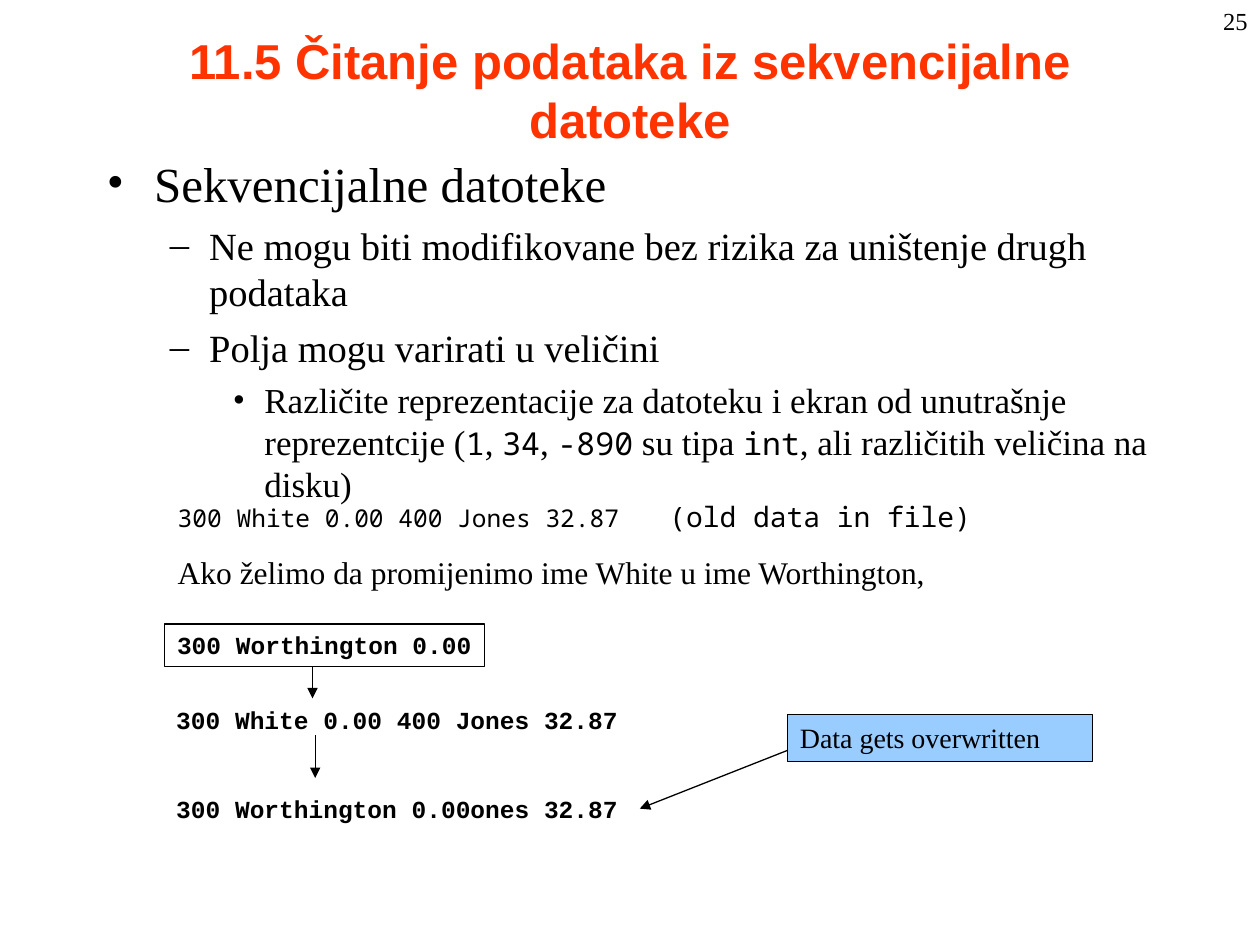
from dataclasses import dataclass

from lxml.etree import SubElement
from pptx import Presentation
from pptx.dml.color import RGBColor as Color
from pptx.enum.shapes import MSO_CONNECTOR as Connector, MSO_SHAPE as Shape
from pptx.enum.text import MSO_ANCHOR as Anchor, PP_ALIGN as Align
from pptx.oxml.ns import qn
from pptx.util import Pt


@dataclass(frozen=True)
class Theme:
    ink: str = "000000"
    paper: str = "FFFFFF"
    heading: str = "FF3300"
    note: str = "99CCFF"
    line: float = 0.75
    sans: str = "Arial"
    serif: str = "Times New Roman"
    mono: str = "Noto Sans Mono"
    courier: str = "Courier New"
    title: int = 28
    levels: tuple = (28, 22, 20)
    text: int = 18
    label: int = 16
    small: int = 14


THEME = Theme()
# Each level: bullet, text indent, hanging width, space before
LEVELS = (("•", 27, 27, 7), ("–", 58.5, 22.5, 5.5), ("•", 90, 18, 5))


@dataclass(frozen=True)
class Box:
    left: float
    top: float
    width: float
    height: float

    def inner(self, left, top, width, height):
        return Box(self.left + left, self.top + top, width, height)

    def lengths(self):
        return [Pt(n) for n in (self.left, self.top, self.width, self.height)]


def apply(target, formats):
    for name, value in formats.items():
        setattr(target, name, value)


def add_span(para, text, size, font=THEME.serif, color=THEME.ink, bold=False):
    span = para.add_run()
    span.text = text
    apply(span.font, {"size": Pt(size), "name": font, "bold": bold})
    span.font.color.rgb = Color.from_string(color)


def add_frame(page, box, fill=None, wrap=True, anchor=Anchor.TOP):
    """Add a text box, or a bordered rectangle if a fill is given."""
    if fill:
        shape = page.shapes.add_shape(Shape.RECTANGLE, *box.lengths())
        shape.shadow.inherit = False
        shape.fill.solid()
        shape.fill.fore_color.rgb = Color.from_string(fill)
        shape.line.color.rgb = Color.from_string(THEME.ink)
        shape.line.width = Pt(THEME.line)
    else:
        shape = page.shapes.add_textbox(*box.lengths())
    apply(shape.text_frame, {"word_wrap": wrap, "vertical_anchor": anchor})
    shape.text_frame.paragraphs[0].alignment = Align.LEFT
    return shape.text_frame


def add_arrow(page, box, start, end):
    points = [Pt(n) for x, y in (start, end) for n in (box.left + x, box.top + y)]
    arrow = page.shapes.add_connector(Connector.STRAIGHT, *points)
    arrow.line.color.rgb = Color.from_string(THEME.ink)
    arrow.line.width = Pt(THEME.line)
    outline = arrow._element.spPr.find(qn("a:ln"))
    SubElement(outline, qn("a:tailEnd"), type="triangle")
    SubElement(arrow._element.spPr, qn("a:effectLst"))


def add_title(page, box, text):
    para = add_frame(page, box, anchor=Anchor.MIDDLE).paragraphs[0]
    para.alignment = Align.CENTER
    add_span(para, text, THEME.title, THEME.sans, THEME.heading, bold=True)


def add_page_number(page, box, text):
    para = add_frame(page, box).paragraphs[0]
    para.alignment = Align.RIGHT
    add_span(para, text, THEME.small)


def add_outline(page, box, items):
    """Add bulleted items; every second piece of an item is code."""
    frame = add_frame(page, box)
    for index, (level, pieces) in enumerate(items):
        para = frame.add_paragraph() if index else frame.paragraphs[0]
        bullet, indent, hanging, before = LEVELS[level]
        apply(para, {"level": level, "space_before": Pt(before)})
        props = para._p.get_or_add_pPr()
        props.set("marL", str(Pt(indent)))
        props.set("indent", str(-Pt(hanging)))
        SubElement(props, qn("a:buFont"), typeface=THEME.serif)
        SubElement(props, qn("a:buChar"), char=bullet)
        for place, piece in enumerate(pieces):
            if place % 2:
                add_span(para, piece, THEME.text, THEME.mono)
            else:
                add_span(para, piece, THEME.levels[level])


def add_old_data(page, box, record, remark, intro):
    frame = add_frame(page, box)
    first = frame.paragraphs[0]
    first.space_before = Pt(10)
    tabs = SubElement(first._p.get_or_add_pPr(), qn("a:tabLst"))
    SubElement(tabs, qn("a:tab"), pos=str(Pt(281)), algn="l")
    add_span(first, record + "\t", THEME.small, THEME.mono)
    add_span(first, remark, THEME.label, THEME.mono)
    second = frame.add_paragraph()
    second.space_before = Pt(11.2)
    add_span(second, intro, THEME.text)


def add_overwrite_diagram(page, box, records, note):
    """Add the three records from new to damaged, and the note on the last."""
    for start, end in (((85, 18), (85, 42.5)), ((86.5, 63.5), (86.5, 88)),
                       ((362, 70), (272, 105.5))):
        add_arrow(page, box, start, end)
    places = ((0.5, 0, 183), (0, 42.5, 267), (0, 93.6, 267))
    for index, (record, (left, top, width)) in enumerate(zip(records, places)):
        fill = None if index else THEME.paper
        frame = add_frame(page, box.inner(left, top, width, 24.4), fill, wrap=False)
        add_span(frame.paragraphs[0], record, THEME.small, THEME.courier, bold=True)
    frame = add_frame(page, box.inner(356.4, 51.6, 174.2, 26.8), THEME.note)
    add_span(frame.paragraphs[0], note, THEME.label)


def main():
    deck = Presentation()
    apply(deck, {"slide_width": Pt(720), "slide_height": Pt(540)})
    page = deck.slides.add_slide(deck.slide_layouts[6])
    add_title(page, Box(54, 6, 612, 90),
              "11.5 Čitanje podataka iz sekvencijalne datoteke")
    add_outline(page, Box(54, 84, 612, 426), (
        (0, ["Sekvencijalne datoteke"]),
        (1, ["Ne mogu biti modifikovane bez rizika za uništenje drugh podataka"]),
        (1, ["Polja mogu varirati u veličini"]),
        (2, ["Različite reprezentacije za datoteku i ekran od unutrašnje "
             "reprezentcije (", "1", ", ", "34", ", ", "-890", " su tipa ", "int",
             ", ali različitih veličina na disku)"]),
    ))
    old_record = "300 White 0.00 400 Jones 32.87"
    add_old_data(page, Box(94.5, 282, 504, 60), old_record, "(old data in file)",
                 "Ako želimo da promijenimo ime White u ime Worthington,")
    add_overwrite_diagram(page, Box(93.6, 356.6, 531, 118), (
        "300 Worthington 0.00", old_record, "300 Worthington 0.00ones 32.87",
    ), "Data gets overwritten")
    add_page_number(page, Box(570, 0, 150, 36), "25")
    deck.save("out.pptx")


if __name__ == "__main__":
    main()
